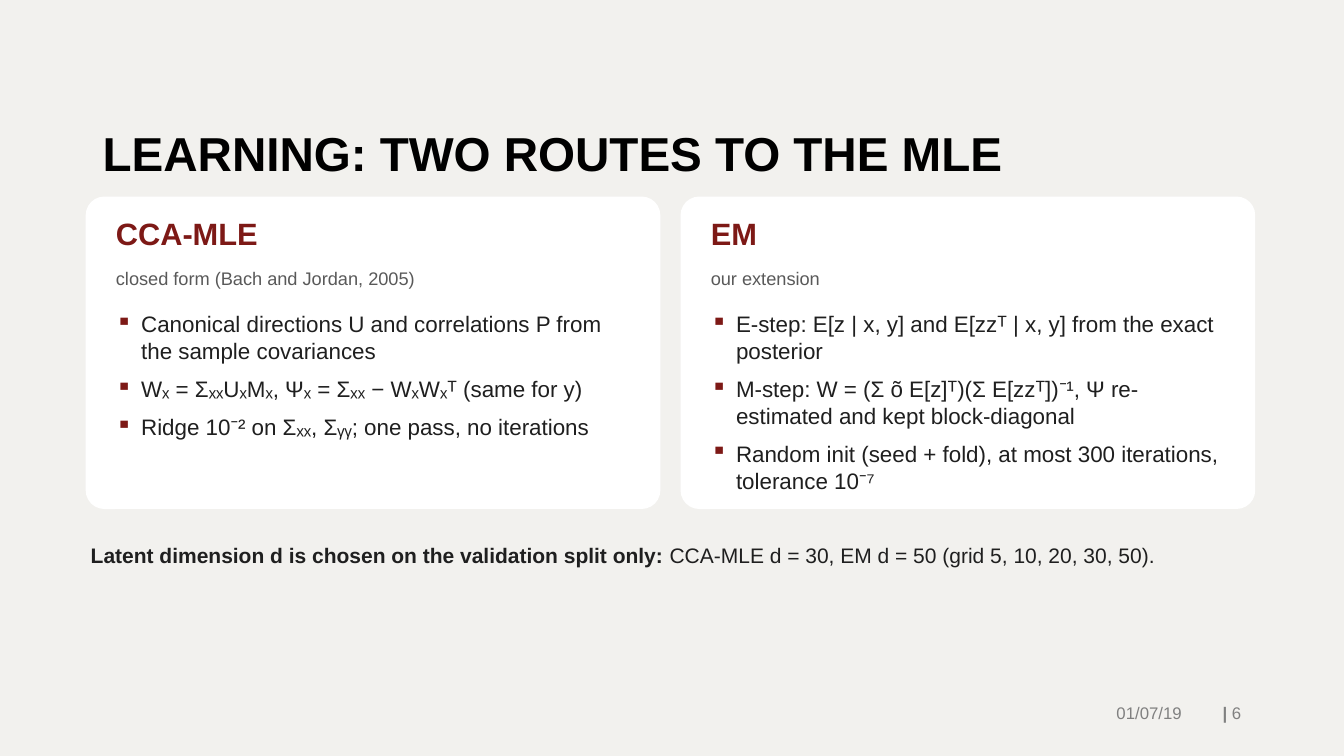
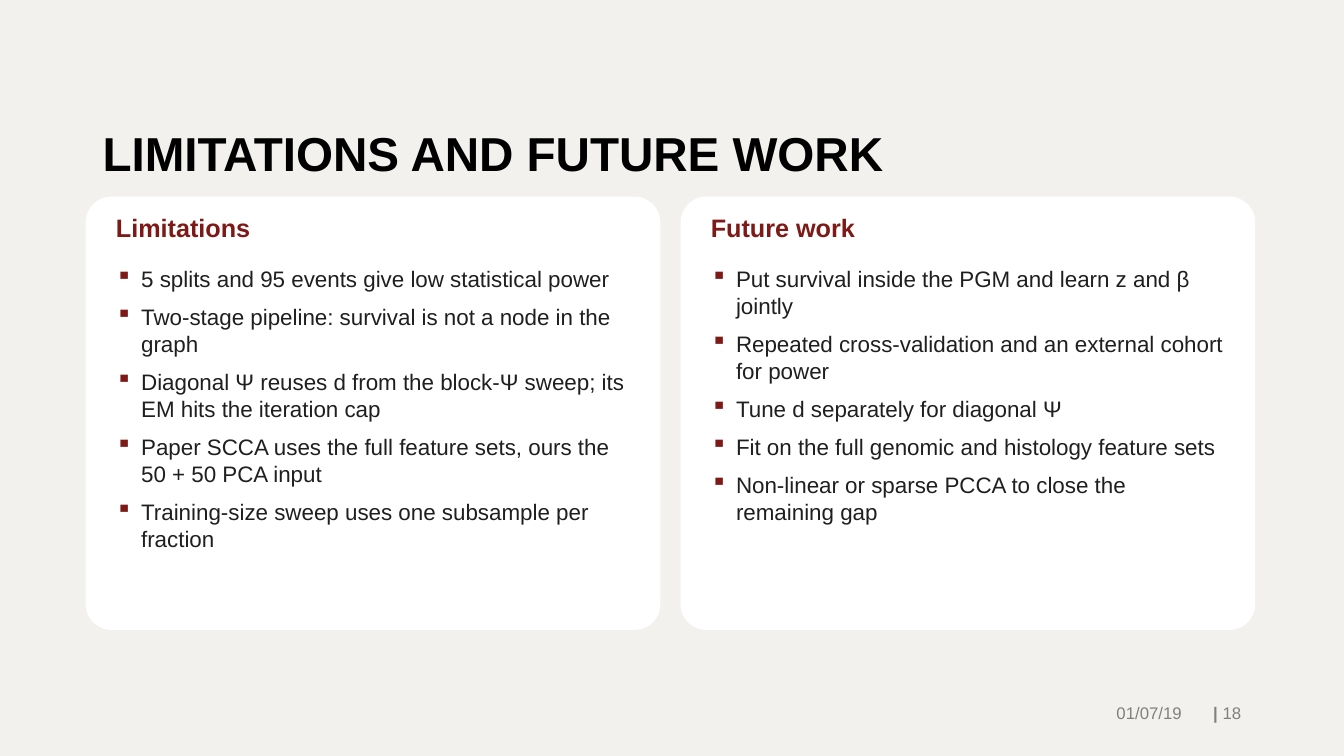
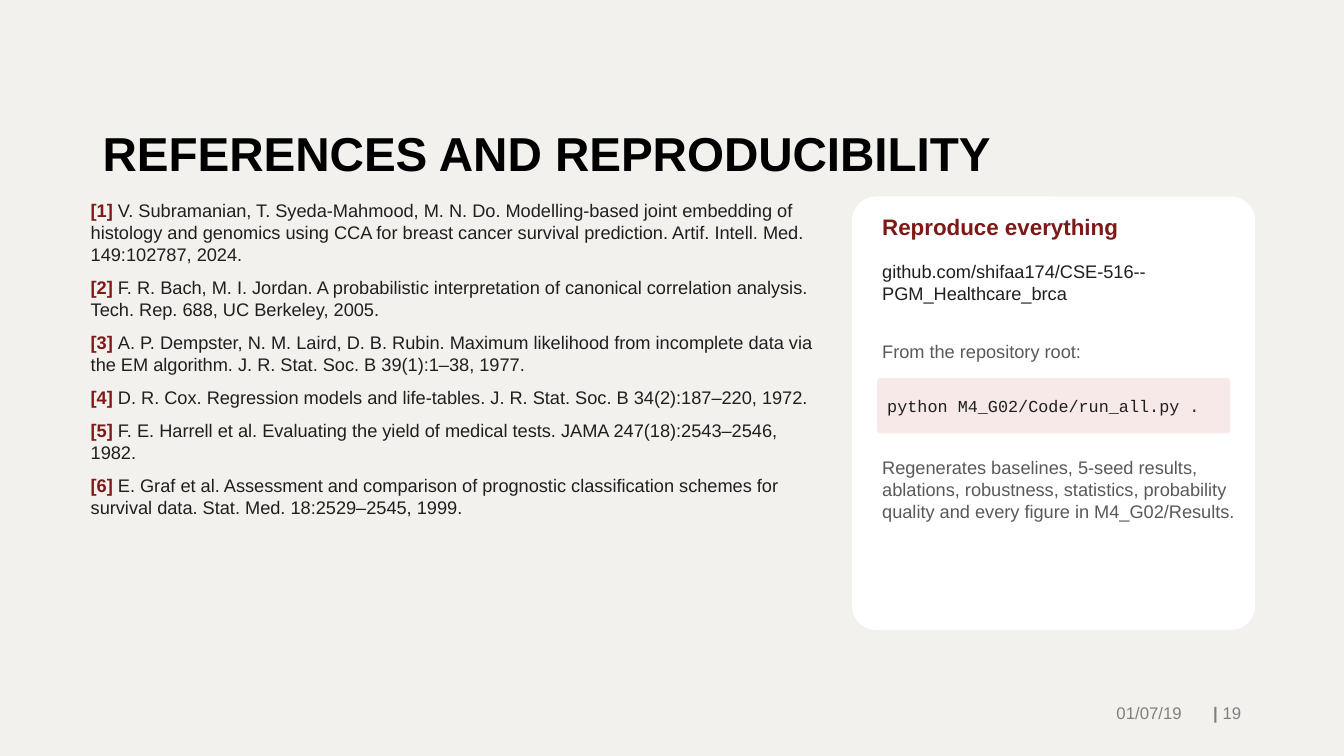
from dataclasses import dataclass

from pptx import Presentation
from pptx.dml.color import RGBColor
from pptx.enum.shapes import MSO_SHAPE
from pptx.enum.text import MSO_ANCHOR, PP_ALIGN
from pptx.oxml import parse_xml
from pptx.oxml.ns import nsdecls
from pptx.presentation import Presentation as Deck
from pptx.slide import Slide
from pptx.util import Inches, Pt

COLORS = {
    "paper": "F2F1EE",
    "card": "FFFFFF",
    "accent": "7D1916",
    "code": "F6E9E8",
    "ink": "1F1F1F",
    "muted": "595959",
    "footer": "808080",
    "title": "000000",
}
MARGIN, CARD_TOP = 0.85, 1.95
CARD_WIDTH, CARD_GAP, PADDING = 5.7, 0.2, 0.25
TIGHT = (0.05, 0.03)
DEFAULT_INSET = (0.1, 0.05)
DATE = "01/07/19"


@dataclass(frozen=True)
class Box:
    left: float
    top: float
    width: float
    height: float

    def lengths(self) -> tuple[Inches, ...]:
        return tuple(Inches(v) for v in (self.left, self.top, self.width, self.height))


@dataclass(frozen=True)
class Run:
    text: str
    bold: bool = False
    color: str | None = None


@dataclass(frozen=True)
class Card:
    heading: str
    bullets: list[str]
    source: str = ""


def rgb(name: str) -> RGBColor:
    return RGBColor.from_string(COLORS[name])


def add_bullet(p, indent: float = 0.25) -> None:
    pPr = p._p.get_or_add_pPr()
    pPr.set("marL", str(Inches(indent)))
    pPr.set("indent", str(-Inches(indent)))
    pPr.append(parse_xml(
        f'<a:buClr {nsdecls("a")}><a:srgbClr val="{COLORS["accent"]}"/></a:buClr>'))
    pPr.append(parse_xml(f'<a:buChar {nsdecls("a")} char="▪"/>'))


def add_text(s: Slide, box: Box, *paragraphs: str | list[Run], size: float,
             color: str = "ink", bold: bool = False, font: str = "Arial",
             align: PP_ALIGN = PP_ALIGN.LEFT, anchor: MSO_ANCHOR = MSO_ANCHOR.TOP,
             after: float = 0, line: float | None = None, bullets: bool = False,
             inset: tuple[float, float] = TIGHT) -> None:
    """Each paragraph is a plain string or a list of runs."""
    tf = s.shapes.add_textbox(*box.lengths()).text_frame
    tf.word_wrap = True
    tf.vertical_anchor = anchor
    tf.margin_left = tf.margin_right = Inches(inset[0])
    tf.margin_top = tf.margin_bottom = Inches(inset[1])
    for i, content in enumerate(paragraphs):
        p = tf.add_paragraph() if i else tf.paragraphs[0]
        p.alignment = align
        p.space_after = Pt(after)
        if line:
            p.line_spacing = line
        if bullets:
            add_bullet(p)
        runs = [Run(content, bold)] if isinstance(content, str) else content
        for run in runs:
            r = p.add_run()
            r.text = run.text
            r.font.name = font
            r.font.size = Pt(size)
            r.font.bold = run.bold
            r.font.color.rgb = rgb(run.color or color)


def add_panel(s: Slide, box: Box, fill: str = "card") -> None:
    sp = s.shapes.add_shape(MSO_SHAPE.ROUNDED_RECTANGLE, *box.lengths())
    sp.adjustments[0] = 0.06
    sp.shadow.inherit = False
    sp.fill.solid()
    sp.fill.fore_color.rgb = rgb(fill)
    sp.line.fill.background()


def add_slide(prs: Deck, title: str, number: int) -> Slide:
    """Add a slide with the shared title, date and page number."""
    s = prs.slides.add_slide(prs.slide_layouts[6])
    add_text(s, Box(0.92, 0.4, 11.5, 1.45), title, size=34, color="title", bold=True,
             anchor=MSO_ANCHOR.BOTTOM, line=0.9, inset=DEFAULT_INSET)
    footers = (
        (Box(11.81, 6.87, 0.6, 0.41), [Run("| ", True), Run(str(number))]),
        (Box(8.67, 6.87, 3.15, 0.41), DATE),
    )
    for box, content in footers:
        add_text(s, box, content, size=12, color="footer", align=PP_ALIGN.RIGHT,
                 anchor=MSO_ANCHOR.MIDDLE, inset=DEFAULT_INSET)
    return s


def add_cards(s: Slide, cards: list[Card], height: float, heading_top: float,
              heading_size: float, bullets_top: float) -> None:
    for i, card in enumerate(cards):
        left = MARGIN + i * (CARD_WIDTH + CARD_GAP)
        text_left = left + PADDING
        add_panel(s, Box(left, CARD_TOP, CARD_WIDTH, height))
        add_text(s, Box(text_left, heading_top, 5.2, 0.5), card.heading,
                 size=heading_size, color="accent", bold=True)
        if card.source:
            add_text(s, Box(text_left, 2.62, 5.2, 0.35), card.source,
                     size=13, color="muted")
        add_text(s, Box(text_left, bullets_top, 5.25, CARD_TOP + height - bullets_top),
                 *card.bullets, size=16, after=8, bullets=True)


def learning(prs: Deck) -> None:
    s = add_slide(prs, "LEARNING: TWO ROUTES TO THE MLE", 6)
    cards = [
        Card("CCA-MLE", [
            "Canonical directions U and correlations P from the sample covariances",
            "Wₓ = ΣₓₓUₓMₓ, Ψₓ = Σₓₓ − WₓWₓᵀ (same for y)",
            "Ridge 10⁻² on Σₓₓ, Σᵧᵧ; one pass, no iterations",
        ], "closed form (Bach and Jordan, 2005)"),
        Card("EM", [
            "E-step: E[z | x, y] and E[zzᵀ | x, y] from the exact posterior",
            "M-step: W = (Σ õ E[z]ᵀ)(Σ E[zzᵀ])⁻¹, Ψ re-estimated and kept block-diagonal",
            "Random init (seed + fold), at most 300 iterations, tolerance 10⁻⁷",
        ], "our extension"),
    ]
    add_cards(s, cards, height=3.1, heading_top=2.1, heading_size=22, bullets_top=3.05)
    add_text(s, Box(MARGIN, 5.35, 11.6, 0.6), [
        Run("Latent dimension d is chosen on the validation split only: ", True),
        Run("CCA-MLE d = 30, EM d = 50 (grid 5, 10, 20, 30, 50)."),
    ], size=15)


def limitations(prs: Deck) -> None:
    s = add_slide(prs, "LIMITATIONS AND FUTURE WORK", 18)
    cards = [
        Card("Limitations", [
            "5 splits and 95 events give low statistical power",
            "Two-stage pipeline: survival is not a node in the graph",
            "Diagonal Ψ reuses d from the block-Ψ sweep; its EM hits the iteration cap",
            "Paper SCCA uses the full feature sets, ours the 50 + 50 PCA input",
            "Training-size sweep uses one subsample per fraction",
        ]),
        Card("Future work", [
            "Put survival inside the PGM and learn z and β jointly",
            "Repeated cross-validation and an external cohort for power",
            "Tune d separately for diagonal Ψ",
            "Fit on the full genomic and histology feature sets",
            "Non-linear or sparse PCCA to close the remaining gap",
        ]),
    ]
    add_cards(s, cards, height=4.3, heading_top=2.08, heading_size=18, bullets_top=2.6)


def references(prs: Deck) -> None:
    s = add_slide(prs, "REFERENCES AND REPRODUCIBILITY", 19)
    works = [
        "V. Subramanian, T. Syeda-Mahmood, M. N. Do. Modelling-based joint embedding of "
        "histology and genomics using CCA for breast cancer survival prediction. "
        "Artif. Intell. Med. 149:102787, 2024.",
        "F. R. Bach, M. I. Jordan. A probabilistic interpretation of canonical "
        "correlation analysis. Tech. Rep. 688, UC Berkeley, 2005.",
        "A. P. Dempster, N. M. Laird, D. B. Rubin. Maximum likelihood from incomplete "
        "data via the EM algorithm. J. R. Stat. Soc. B 39(1):1–38, 1977.",
        "D. R. Cox. Regression models and life-tables. J. R. Stat. Soc. B "
        "34(2):187–220, 1972.",
        "F. E. Harrell et al. Evaluating the yield of medical tests. JAMA "
        "247(18):2543–2546, 1982.",
        "E. Graf et al. Assessment and comparison of prognostic classification schemes "
        "for survival data. Stat. Med. 18:2529–2545, 1999.",
    ]
    entries = [[Run(f"[{n}] ", True, "accent"), Run(work)]
               for n, work in enumerate(works, 1)]
    add_text(s, Box(MARGIN, CARD_TOP, 7.3, 4.4), *entries, size=13, after=8)

    card_left = 8.45
    left = card_left + PADDING
    add_panel(s, Box(card_left, CARD_TOP, 4, 4.3))
    add_text(s, Box(left, 2.08, 3.6, 0.4), "Reproduce everything",
             size=16, color="accent", bold=True)
    add_text(s, Box(left, 2.55, 3.6, 0.9),
             "github.com/shifaa174/CSE-516--PGM_Healthcare_brca", size=13)
    add_text(s, Box(left, 3.35, 3.6, 0.4), "From the repository root:",
             size=13, color="muted")
    add_panel(s, Box(left, 3.75, 3.5, 0.55), "code")
    add_text(s, Box(left + 0.05, 3.75, 3.4, 0.55), "python M4_G02/Code/run_all.py .",
             size=12, font="Courier New", anchor=MSO_ANCHOR.MIDDLE)
    add_text(s, Box(left, 4.5, 3.6, 1.6),
             "Regenerates baselines, 5-seed results, ablations, robustness, statistics, "
             "probability quality and every figure in M4_G02/Results.",
             size=13, color="muted")


def main() -> None:
    prs = Presentation()
    prs.slide_width, prs.slide_height = Inches(13.33), Inches(7.5)
    background = prs.slide_master.background.fill
    background.solid()
    background.fore_color.rgb = rgb("paper")
    for build in (learning, limitations, references):
        build(prs)
    prs.save("out.pptx")


if __name__ == "__main__":
    main()
